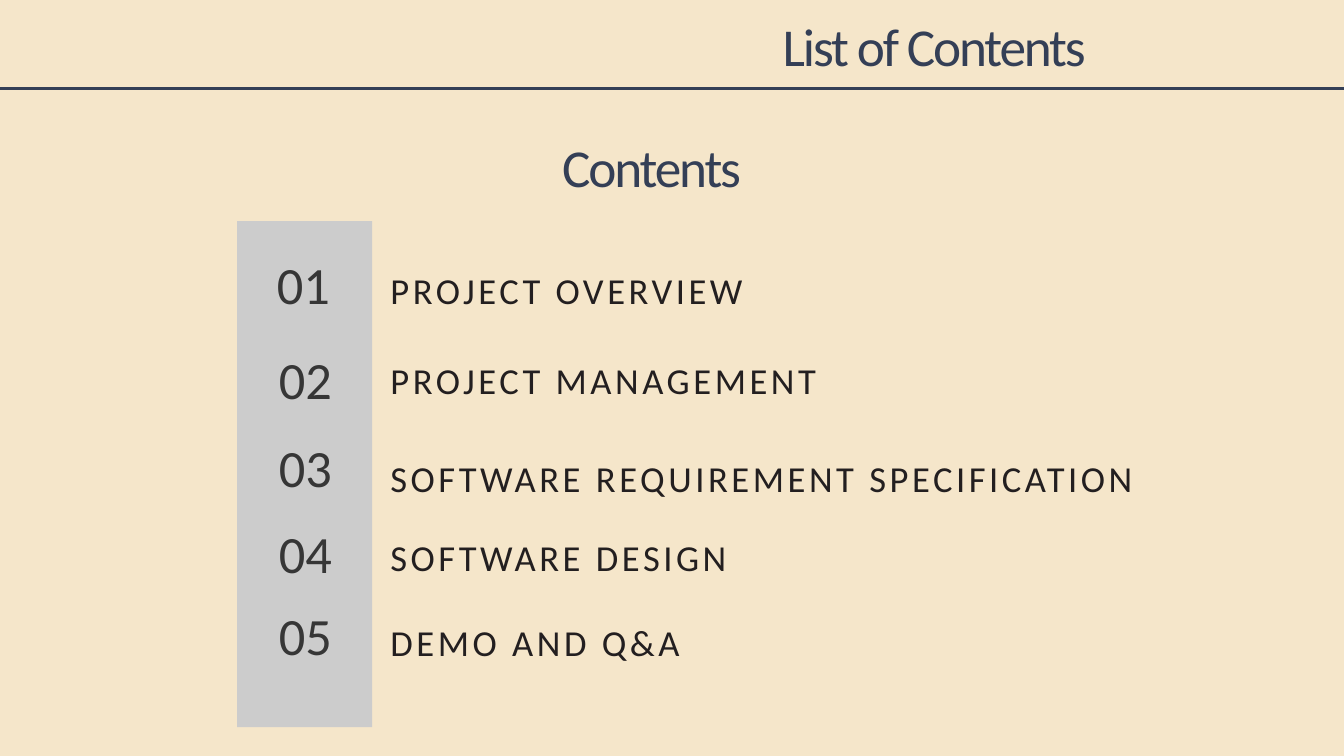
from lxml import etree
from pptx import Presentation
from pptx.dml.color import RGBColor
from pptx.enum.shapes import MSO_CONNECTOR, MSO_SHAPE
from pptx.enum.text import MSO_ANCHOR, MSO_AUTO_SIZE, PP_ALIGN
from pptx.oxml.ns import qn
from pptx.util import Inches, Pt

LEFT, CENTER, RIGHT = PP_ALIGN.LEFT, PP_ALIGN.CENTER, PP_ALIGN.RIGHT
LINE = MSO_CONNECTOR.STRAIGHT
RECT = MSO_SHAPE.RECTANGLE
TOP = MSO_ANCHOR.TOP
FIXED = MSO_AUTO_SIZE.NONE

WIDE, HIGH = 20, 11.25
NAVY, SAND, GRAY = "343F56", "F5E6CA", "CCCCCC"
FONT = "Calibri"

# Heading, number and item formats
HEAD = dict(size=57.1, color=NAVY, align=RIGHT, lead=68.5, track=-2.3)
NUMBER = dict(size=56.1, color="363636", align=CENTER, lead=67.3)
ITEM = dict(size=39.2, color="231F20", align=LEFT, lead=54.1, track=3.8)

# Number left and top, item top, item text
ROWS = [
    (3.84, 3.76, 3.89, "PROJECT OVERVIEW"),
    (3.87, 5.16, 5.23, "PROJECT MANAGEMENT"),
    (3.87, 6.48, 6.68, "SOFTWARE REQUIREMENT SPECIFICATION"),
    (3.87, 7.75, 7.86, "SOFTWARE DESIGN"),
    (3.87, 8.97, 9.12, "DEMO AND Q&A"),
]


def rgb(code):
    return RGBColor.from_string(code)


def place(shape, left, top, width, height):
    shape.left, shape.top = Inches(left), Inches(top)
    shape.width, shape.height = Inches(width), Inches(height)


def write(shape, text, size, color, align, lead, track=0):
    frame = shape.text_frame
    frame.word_wrap = True
    frame.auto_size = FIXED
    frame.vertical_anchor = TOP
    frame.margin_left = frame.margin_right = 0
    frame.margin_top = frame.margin_bottom = 0
    para = frame.paragraphs[0]
    para.alignment = align
    para.line_spacing = Pt(lead)
    run = para.add_run()
    run.text = text
    run.font.name = FONT
    run.font.size = Pt(size)
    run.font.color.rgb = rgb(color)
    if track:
        run.font._element.set("spc", str(round(track * 100)))


def label(slide, text, box, **style):
    shape = slide.shapes.add_textbox(*map(Inches, box))
    write(shape, text, **style)


def rule(slide, top):
    line = slide.shapes.add_connector(
        LINE, 0, Inches(top), Inches(WIDE), Inches(top))
    line.line.color.rgb = rgb(NAVY)
    line.line.width = Pt(3)
    etree.SubElement(line._element.spPr, qn("a:effectLst"))


def panel(slide, box, color):
    shape = slide.shapes.add_shape(RECT, *map(Inches, box))
    shape.shadow.inherit = False
    shape.fill.solid()
    shape.fill.fore_color.rgb = rgb(color)
    shape.line.fill.background()


def main():
    deck = Presentation()
    deck.slide_width, deck.slide_height = Inches(WIDE), Inches(HIGH)
    slide = deck.slides.add_slide(deck.slide_layouts[5])
    slide.background.fill.solid()
    slide.background.fill.fore_color.rgb = rgb(SAND)

    # Header
    rule(slide, 1.32)
    title = slide.shapes.title
    place(title, 7.3, 0.2, 8.86, 0.95)
    write(title, "List of Contents", **HEAD)

    # Numbered list
    panel(slide, (3.53, 3.29, 2.01, 7.53), GRAY)
    for count, (left, top, base, text) in enumerate(ROWS, 1):
        label(slide, f"{count:02}", (left, top, 1.35, 0.93), **NUMBER)
        label(slide, text, (5.81, base, 13.66, 0.72), **ITEM)

    # List heading
    label(slide, "Contents", (2.17, 1.99, 8.86, 0.95), **HEAD)

    deck.save("out.pptx")


if __name__ == "__main__":
    main()
